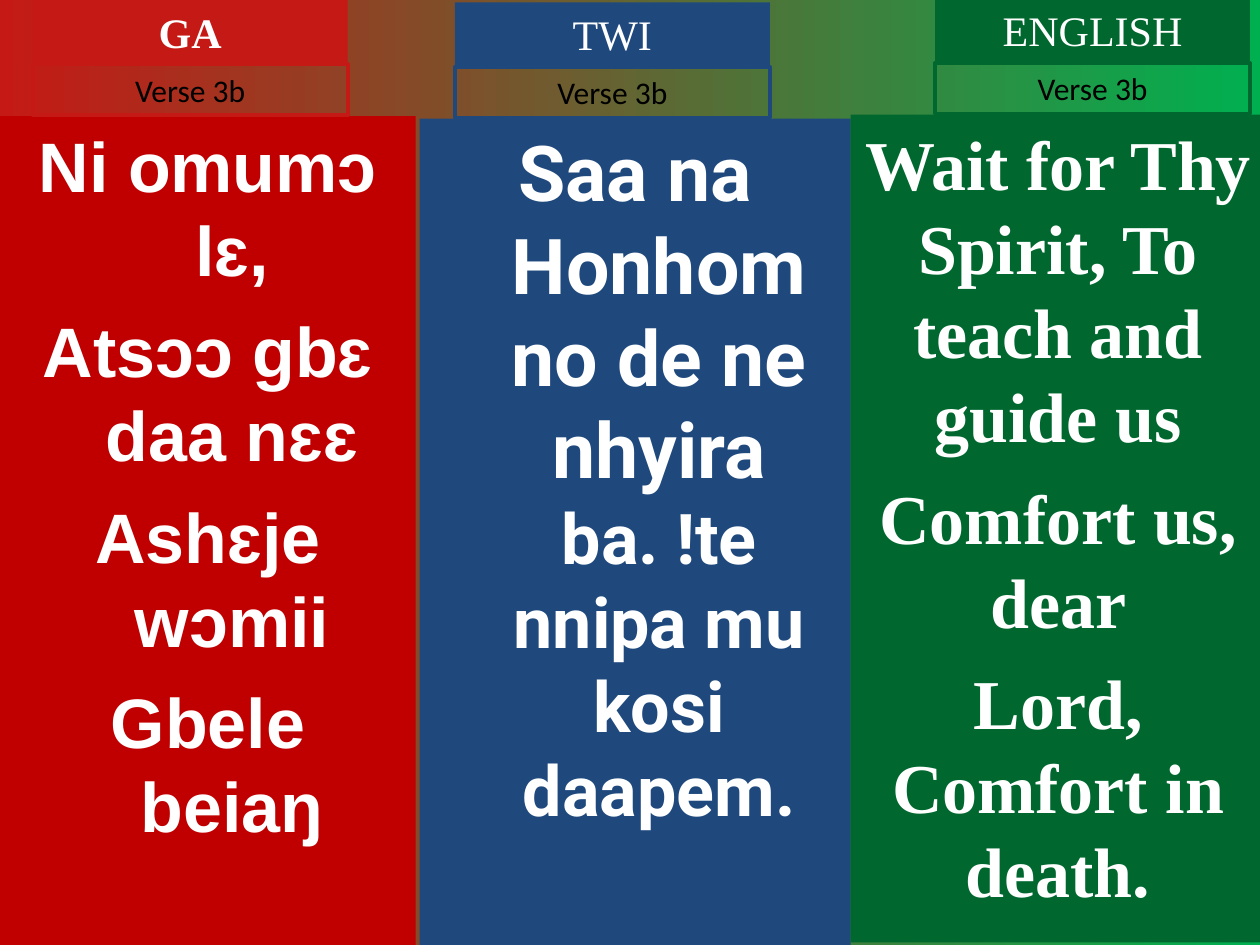
from pptx import Presentation
from pptx import util as u
from pptx.dml.color import RGBColor
from pptx.enum import shapes, text

HEADER_W, HEADER_H = 6.35, 1.27
LABEL_TOP, LABEL_H = 1.3, 1.02
PANEL_TOP = 2.34
HANGING = 0.97
WHITE, BLACK = "FFFFFF", "000000"


def rgb(value):
    return RGBColor.from_string(value)


def add_box(slide, left, top, width, height, fill=None, line=None):
    sp = slide.shapes.add_shape(shapes.MSO_SHAPE.RECTANGLE, u.Cm(left), u.Cm(top),
                                u.Cm(width), u.Cm(height))
    sp.shadow.inherit = False
    if fill:
        sp.fill.solid()
        sp.fill.fore_color.rgb = rgb(fill)
    else:
        sp.fill.background()
    if line:
        sp.line.color.rgb = rgb(line)
        sp.line.width = u.Pt(2.25)
    else:
        sp.line.fill.background()
    tf = sp.text_frame
    tf.word_wrap = True
    tf.vertical_anchor = text.MSO_ANCHOR.TOP
    return tf


def style_runs(p, font, size, color, bold=False):
    p.alignment = text.PP_ALIGN.CENTER
    for r in p.runs:
        r.font.name = font
        r.font.size = u.Pt(size)
        r.font.bold = bold
        r.font.color.rgb = rgb(color)


def add_heading(tf, wording, font, size, color, bold=False):
    tf.text = wording
    tf.auto_size = text.MSO_AUTO_SIZE.SHAPE_TO_FIT_TEXT
    style_runs(tf.paragraphs[0], font, size, color, bold)


def add_lyrics(tf, lines, font, hanging):
    """Each line is a list of (wording, size) runs."""
    for i, runs in enumerate(lines):
        p = tf.paragraphs[0] if i == 0 else tf.add_paragraph()
        if i:
            p.space_before = u.Pt(10)
        if hanging:
            pPr = p._p.get_or_add_pPr()
            pPr.set("marL", str(u.Cm(HANGING)))
            pPr.set("indent", str(-u.Cm(HANGING)))
        for wording, _ in runs:
            p.add_run().text = wording
        style_runs(p, font, 40, WHITE, bold=True)
        for r, (_, size) in zip(p.runs, runs):
            r.font.size = u.Pt(size)


def add_language(slide, box, header_x, language, header_fill, panel_fill, font, lines,
                 hanging=True, bold_header=False):
    """Column with a language header, a verse label and a panel of lyrics."""
    left, top, width, height = box
    panel = add_box(slide, left, top + PANEL_TOP, width, height - PANEL_TOP, fill=panel_fill)
    add_lyrics(panel, lines, font, hanging)
    header = add_box(slide, left + header_x, top, HEADER_W, HEADER_H, fill=header_fill)
    add_heading(header, language, "Times New Roman", 24, WHITE, bold_header)
    label = add_box(slide, left + header_x, top + LABEL_TOP, HEADER_W, LABEL_H,
                    line=header_fill)
    add_heading(label, "Verse 3b", "Calibri", 18, BLACK)


def set_background(slide, colors):
    fill = slide.background.fill
    fill.gradient()
    fill.gradient_angle = 0
    for position, (stop, color) in enumerate(zip(fill.gradient_stops, colors)):
        stop.color.rgb = rgb(color)
        stop.position = position


def main():
    prs = Presentation()
    prs.slide_width, prs.slide_height = u.Cm(25.4), u.Cm(19.05)
    slide = prs.slides.add_slide(prs.slide_layouts[6])
    set_background(slide, ("C51915", "00B050"))

    ga = ["Ni omumɔ lɛ,", "Atsɔɔ gbɛ daa nɛɛ", "Ashɛje wɔmii", "Gbele beiaŋ"]
    twi = [("Saa na Honhom no de ne nhyira ", 44), ("ba. !te nnipa mu kosi daapem.", 40)]
    english = ["Wait for Thy Spirit, To teach and guide us", "Comfort us, dear",
               "Lord, Comfort in death."]

    add_language(slide, (0, 0, 8.38, 19.05), 0.66, "GA", "C51915", "C00000", "Arial",
                 [[(line, 40)] for line in ga], bold_header=True)
    add_language(slide, (8.46, 0.05, 8.69, 19), 0.71, "TWI", "1F497D", "1F497D", "Roboto",
                 [twi])
    add_language(slide, (17.15, -0.03, 8.36, 19.03), 1.7, "ENGLISH", "00682F", "00682F",
                 "Times New Roman", [[(line, 40)] for line in english], hanging=False)
    prs.save("out.pptx")


if __name__ == "__main__":
    main()
